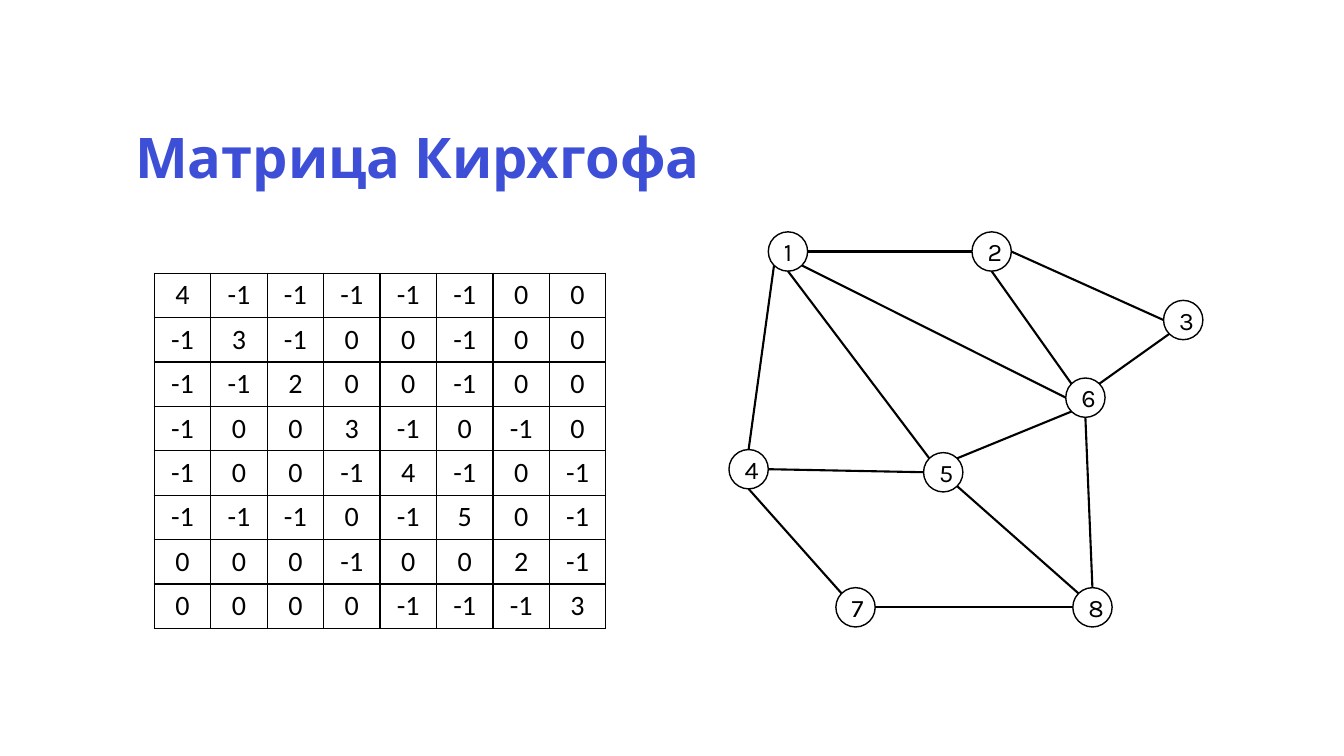
import math
from dataclasses import dataclass

from lxml import etree
from pptx import Presentation
from pptx.dml.color import RGBColor
from pptx.enum.shapes import MSO_CONNECTOR, MSO_SHAPE
from pptx.enum.text import MSO_ANCHOR, MSO_AUTO_SIZE, PP_ALIGN
from pptx.oxml.ns import qn
from pptx.util import Inches, Pt

LEFT, CENTER = PP_ALIGN.LEFT, PP_ALIGN.CENTER
TOP, MIDDLE = MSO_ANCHOR.TOP, MSO_ANCHOR.MIDDLE
NO_AUTOFIT = MSO_AUTO_SIZE.NONE
OVAL, STRAIGHT = MSO_SHAPE.OVAL, MSO_CONNECTOR.STRAIGHT

# Connection sites of an ellipse, counter-clockwise from the top in 45° steps
N, NW, W, SW, S, SE, E, NE = range(8)


@dataclass(frozen=True)
class Theme:
    title_color: RGBColor = RGBColor(0x3D, 0x4E, 0xD7)
    ink: RGBColor = RGBColor(0, 0, 0)
    paper: RGBColor = RGBColor(255, 255, 255)
    font: str = "Karla"
    table_font: str = "Calibri"
    title_size: int = 40
    node_size: int = 18
    table_size: int = 20
    outline: float = 1
    edge: float = 1.5


# Content
TITLE = "Матрица Кирхгофа"
MATRIX = [
    [4, -1, -1, -1, -1, -1, 0, 0],
    [-1, 3, -1, 0, 0, -1, 0, 0],
    [-1, -1, 2, 0, 0, -1, 0, 0],
    [-1, 0, 0, 3, -1, 0, -1, 0],
    [-1, 0, 0, -1, 4, -1, 0, -1],
    [-1, -1, -1, 0, -1, 5, 0, -1],
    [0, 0, 0, -1, 0, 0, 2, -1],
    [0, 0, 0, 0, -1, -1, -1, 3],
]
DIAMETER = 0.39
NODES = {  # label: left, top
    1: (7.62, 2.3), 2: (9.64, 2.3), 3: (11.54, 2.98), 4: (7.23, 4.46),
    5: (9.16, 4.49), 6: (10.57, 3.75), 7: (8.29, 5.83), 8: (10.64, 5.83),
}
EDGES = [  # node, site, node, site
    (1, E, 2, W), (1, SW, 4, N), (1, SE, 6, W), (3, W, 2, E), (4, S, 7, NW),
    (6, SW, 5, NE), (3, SW, 6, NE), (5, NW, 1, S), (6, NW, 2, S),
    (4, E, 5, W), (5, SE, 8, NW), (6, S, 8, N), (7, E, 8, W),
]


def write(tf, text, *, size, font, color, bold=False, align=CENTER, spacing=None):
    p = tf.paragraphs[0]
    p.alignment = align
    if spacing:
        p.line_spacing = spacing
    r = p.add_run()
    r.text = text
    r.font.size, r.font.name, r.font.bold = Pt(size), font, bold
    r.font.color.rgb = color


def site_point(sp, site):
    """Point of an ellipse at one of its eight connection sites."""
    angle = math.radians(45 * site)
    rx, ry = sp.width / 2, sp.height / 2
    return (round(sp.left + rx - rx * math.sin(angle)),
            round(sp.top + ry - ry * math.cos(angle)))


class SlideBuilder:
    def __init__(self, prs, theme):
        self.theme = theme
        self.s = prs.slides.add_slide(prs.slide_layouts[5])

    def title(self, text, left, top, width, height):
        t, sp = self.theme, self.s.shapes.title
        sp.left, sp.top = Inches(left), Inches(top)
        sp.width, sp.height = Inches(width), Inches(height)
        tf = sp.text_frame
        tf.word_wrap, tf.auto_size, tf.vertical_anchor = True, NO_AUTOFIT, TOP
        write(tf, text, size=t.title_size, font=t.font, color=t.title_color,
              bold=True, align=LEFT, spacing=0.9)

    def node(self, label, left, top):
        t = self.theme
        sp = self.s.shapes.add_shape(OVAL, Inches(left), Inches(top),
                                     Inches(DIAMETER), Inches(DIAMETER))
        sp.shadow.inherit = False
        sp.fill.solid()
        sp.fill.fore_color.rgb = t.paper
        sp.line.color.rgb, sp.line.width = t.ink, Pt(t.outline)
        sp.text_frame.vertical_anchor = MIDDLE
        write(sp.text_frame, str(label), size=t.node_size, font=t.font, color=t.ink)
        return sp

    def edge(self, start, start_site, end, end_site):
        t = self.theme
        c = self.s.shapes.add_connector(STRAIGHT, *site_point(start, start_site),
                                        *site_point(end, end_site))
        c.line.color.rgb, c.line.width = t.ink, Pt(t.edge)
        etree.SubElement(c._element.spPr, qn("a:effectLst"))
        # begin_connect only knows four sites; an ellipse has eight
        links = c._element.nvCxnSpPr.cNvCxnSpPr
        for tag, sp, site in (("a:stCxn", start, start_site), ("a:endCxn", end, end_site)):
            etree.SubElement(links, qn(tag), id=str(sp.shape_id), idx=str(site))

    def table(self, rows, left, top, col_width, row_height):
        n_rows, n_cols = len(rows), len(rows[0])
        frame = self.s.shapes.add_table(n_rows, n_cols, Inches(left), Inches(top),
                                        Inches(col_width * n_cols),
                                        Inches(row_height * n_rows))
        table = frame.table
        table.first_row = table.horz_banding = False
        for col in table.columns:
            col.width = Inches(col_width)
        for row, values in zip(table.rows, rows):
            row.height = Inches(row_height)
            for cell, value in zip(row.cells, values):
                self.cell(cell, str(value))

    def cell(self, cell, text):
        t = self.theme
        # Borders come before the fill in the cell properties
        tc_pr = cell._tc.get_or_add_tcPr()
        for side in ("a:lnL", "a:lnR", "a:lnT", "a:lnB"):
            ln = etree.SubElement(tc_pr, qn(side), w=str(Pt(t.outline)))
            fill = etree.SubElement(ln, qn("a:solidFill"))
            etree.SubElement(fill, qn("a:srgbClr"), val=str(t.ink))
        cell.fill.solid()
        cell.fill.fore_color.rgb = t.paper
        write(cell.text_frame, text, size=t.table_size, font=t.table_font, color=t.ink)


def main():
    prs = Presentation()
    prs.slide_width, prs.slide_height = Inches(13.33), Inches(7.5)
    slide = SlideBuilder(prs, Theme())
    slide.title(TITLE, 1.24, 1.24, 10.85, 0.8)

    # Graph
    nodes = {label: slide.node(label, *place) for label, place in NODES.items()}
    for a, a_site, b, b_site in EDGES:
        slide.edge(nodes[a], a_site, nodes[b], b_site)

    # Kirchhoff matrix
    slide.table(MATRIX, 1.53, 2.71, col_width=0.56, row_height=0.41)
    prs.save("out.pptx")


if __name__ == "__main__":
    main()
